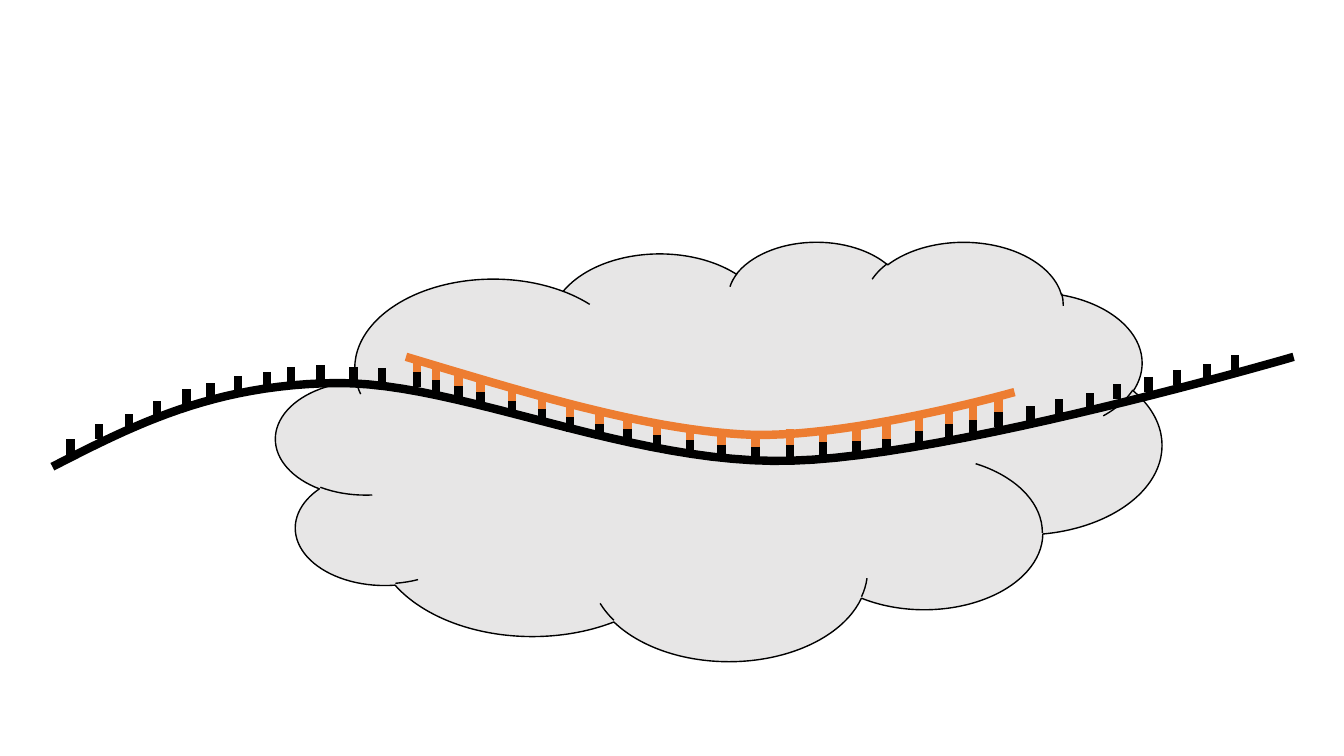
from dataclasses import dataclass
from typing import NamedTuple

from lxml.etree import SubElement
from pptx import Presentation
from pptx.dml.color import RGBColor
from pptx.enum.shapes import MSO_CONNECTOR, MSO_SHAPE
from pptx.oxml.ns import qn
from pptx.util import Emu, Pt

PX = 9144  # EMU per px, 100 px to the inch
CURVE_STEPS = 24
TICK_LENGTH = 15


@dataclass(frozen=True)
class Theme:
    cloud: RGBColor = RGBColor(0xE7, 0xE6, 0xE6)
    target: RGBColor = RGBColor(0, 0, 0)
    guide: RGBColor = RGBColor(0xED, 0x7D, 0x31)
    outline_width: int = 1
    strand_width: int = 6


class Point(NamedTuple):
    x: int
    y: int


class Strand(NamedTuple):
    """Chain of cubic curves: a start, then two handles and an end for each."""
    points: list[Point]
    color: RGBColor


THEME = Theme()

STRANDS = [
    Strand([Point(52, 463), Point(132, 422), Point(212, 381), Point(335, 380),
            Point(457, 379), Point(628, 462), Point(786, 457),
            Point(945, 453), Point(1284, 354), Point(1284, 354)], THEME.target),
    Strand([Point(403, 354), Point(520, 389), Point(636, 425), Point(737, 431),
            Point(837, 437), Point(1007, 389), Point(1007, 389)], THEME.guide),
]

# Where the guide and target bases of each pair meet
PAIRS = [Point(*xy) for xy in (
    (414, 369), (433, 377), (455, 383), (477, 389), (508, 398), (538, 406),
    (566, 414), (595, 421), (623, 426), (652, 432), (685, 437), (716, 441),
    (750, 443), (784, 441), (817, 439), (850, 438), (880, 436), (912, 428),
    (942, 421), (966, 417), (991, 409))]

# Tops of the unpaired target bases
UNPAIRED = [Point(*xy) for xy in (
    (70, 436), (98, 421), (128, 411), (156, 398), (185, 386), (209, 380),
    (236, 373), (265, 369), (289, 364), (318, 362), (351, 364), (379, 365),
    (1023, 403), (1051, 396), (1082, 390), (1109, 381), (1140, 374),
    (1168, 367), (1198, 361), (1226, 352))]


def px(value: float) -> Emu:
    return Emu(round(value * PX))


def cubic(p0: Point, p1: Point, p2: Point, p3: Point, t: float) -> tuple[Emu, Emu]:
    """Position at t on a cubic curve, in EMU."""
    u = 1 - t
    x, y = (u**3 * a + 3 * u**2 * t * b + 3 * u * t**2 * c + t**3 * d
            for a, b, c, d in zip(p0, p1, p2, p3))
    return px(x), px(y)


def draw_cloud(s, left: int, top: int, width: int, height: int) -> None:
    sp = s.shapes.add_shape(MSO_SHAPE.CLOUD, px(left), px(top), px(width), px(height))
    sp.shadow.inherit = False
    sp.fill.solid()
    sp.fill.fore_color.rgb = THEME.cloud
    sp.line.color.rgb = THEME.target
    sp.line.width = Pt(THEME.outline_width)


def draw_strand(s, strand: Strand) -> None:
    pts = strand.points
    outline = [cubic(*pts[i:i + 4], step / CURVE_STEPS)
               for i in range(0, len(pts) - 1, 3)
               for step in range(1, CURVE_STEPS + 1)]
    builder = s.shapes.build_freeform(px(pts[0].x), px(pts[0].y))
    builder.add_line_segments(outline, close=False)
    sp = builder.convert_to_shape()
    sp.shadow.inherit = False
    sp.fill.background()
    sp.line.color.rgb = strand.color
    sp.line.width = Pt(THEME.strand_width)


def draw_base(s, x: int, top: int, color: RGBColor) -> None:
    base = s.shapes.add_connector(MSO_CONNECTOR.STRAIGHT, px(x), px(top),
                                  px(x), px(top + TICK_LENGTH))
    base.line.color.rgb = color
    base.line.width = Pt(THEME.strand_width)
    SubElement(base._element.spPr, qn("a:effectLst"))


def main() -> None:
    prs = Presentation()
    prs.slide_width, prs.slide_height = px(1334), px(750)
    s = prs.slides.add_slide(prs.slide_layouts[6])

    draw_cloud(s, 274, 239, 879, 416)
    for strand in STRANDS:
        draw_strand(s, strand)
    for pair in PAIRS:
        draw_base(s, pair.x, pair.y - TICK_LENGTH, THEME.guide)
        draw_base(s, pair.x, pair.y, THEME.target)
    for base in UNPAIRED:
        draw_base(s, base.x, base.y, THEME.target)

    prs.save("out.pptx")


if __name__ == "__main__":
    main()
